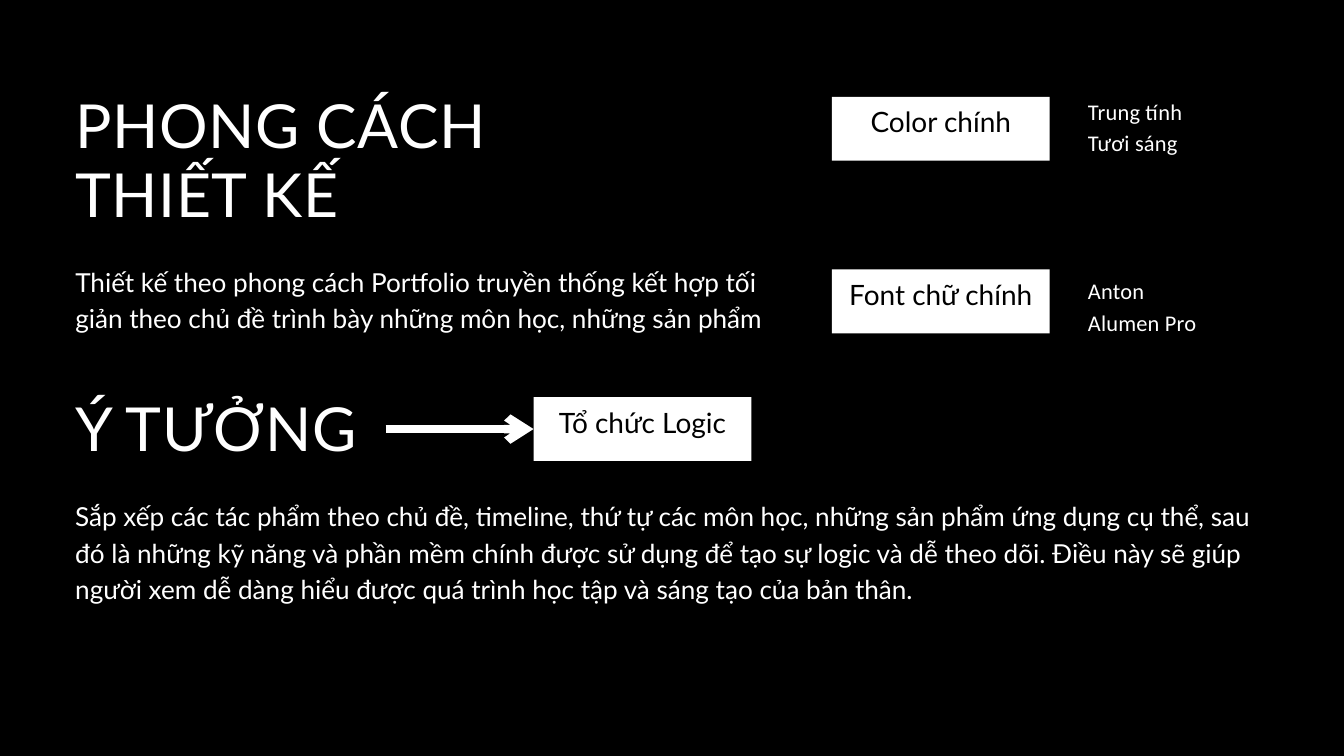
from lxml import etree
from pptx import Presentation
from pptx import util as u
from pptx.dml.color import RGBColor
from pptx.enum import shapes, text
from pptx.oxml.ns import qn

COLORS = {"ground": "000000", "light": "FFFFFF"}
COLUMNS, ROWS = 20, 11.25
CELL = u.Inches(1)  # one grid column or row
MARGIN = 1.12
TAG_LEFT, TAG_W, TAG_H, TAG_RISE = 12.38, 3.24, 0.95, 0.29
NOTE_LEFT, NOTE_W, NOTE_H = 16.19, 2.68, 0.9

HEADING = {"size": 65, "leading": 74.1, "spacing": 0.7}
BODY = {"size": 28, "leading": 39.2}
NOTE = {"size": 24, "leading": 33.6, "font": "Calibri", "spacing": 0.2}
LABEL = {"size": 30, "leading": 42, "color": "ground", "inset": 0.06,
         "align": text.PP_ALIGN.CENTER, "anchor": text.MSO_ANCHOR.MIDDLE}


def grid(*lengths):
    return [int(length * CELL) for length in lengths]


def rgb(name):
    return RGBColor.from_string(COLORS[name])


def write(holder, words, size, leading, font="Lato", color="light", spacing=0,
          inset=0, align=text.PP_ALIGN.LEFT, anchor=text.MSO_ANCHOR.TOP):
    frame = holder.text_frame
    frame.text = words
    frame.word_wrap = True
    frame.auto_size = text.MSO_AUTO_SIZE.NONE
    frame.vertical_anchor = anchor
    frame.margin_left = frame.margin_right = u.Inches(inset)
    frame.margin_top = frame.margin_bottom = u.Inches(inset)
    for paragraph in frame.paragraphs:
        paragraph.alignment = align
        paragraph.line_spacing = u.Pt(leading)
        paragraph.space_before = u.Pt(0)
        for run in paragraph.runs:
            run.font.size = u.Pt(size)
            run.font.name = font
            run.font.color.rgb = rgb(color)
            if spacing:
                run.font._element.set("spc", str(round(spacing * 100)))


def add_words(slide, box, words, style):
    write(slide.shapes.add_textbox(*grid(*box)), words, **style)


def add_title(slide, box, words):
    title = slide.shapes.title
    title.left, title.top, title.width, title.height = grid(*box)
    write(title, words, **HEADING)


def add_tag(slide, left, top, words):
    """White plate whose label sits a little above its middle."""
    plate = slide.shapes.add_shape(shapes.MSO_SHAPE.RECTANGLE,
                                   *grid(left, top, TAG_W, TAG_H))
    plate.shadow.inherit = False
    plate.fill.solid()
    plate.fill.fore_color.rgb = rgb("light")
    plate.line.fill.background()
    add_words(slide, (left, top - TAG_RISE, TAG_W, TAG_H + TAG_RISE), words, LABEL)


def add_arrow(slide, start, end, row):
    arrow = slide.shapes.add_connector(shapes.MSO_CONNECTOR.STRAIGHT,
                                       *grid(start, row, end, row))
    arrow.line.color.rgb = rgb("light")
    arrow.line.width = u.Pt(9)
    etree.SubElement(arrow.line._get_or_add_ln(), qn("a:tailEnd"), type="arrow")
    etree.SubElement(arrow._element.spPr, qn("a:effectLst"))


def add_style_region(slide):
    add_title(slide, (MARGIN, 1.36, 6.81, 2.08), "PHONG CÁCH THIẾT KẾ")
    add_words(slide, (MARGIN, 3.88, 10.29, 1.08),
              "Thiết kế theo phong cách Portfolio truyền thống kết hợp tối giản "
              "theo chủ đề trình bày những môn học, những sản phẩm", BODY)


def add_choices_region(slide):
    choices = [(1.44, "Color chính", 1.39, "Trung tính\nTươi sáng"),
               (4.01, "Font chữ chính", 4.06, "Anton\nAlumen Pro")]
    for tag_top, label, note_top, note in choices:
        add_tag(slide, TAG_LEFT, tag_top, label)
        add_words(slide, (NOTE_LEFT, note_top, NOTE_W, NOTE_H), note, NOTE)


def add_idea_region(slide, top):
    tag_left, tag_top = 7.94, top + 0.04
    add_words(slide, (MARGIN, top, 6.81, 1.05), "Ý TƯỞNG", HEADING)
    add_tag(slide, tag_left, tag_top, "Tổ chức Logic")
    add_arrow(slide, 5.74, tag_left, tag_top + TAG_H / 2)
    add_words(slide, (MARGIN, top + 1.5, COLUMNS - 2 * MARGIN, 1.62),
              "Sắp xếp các tác phẩm theo chủ đề, timeline, thứ tự các môn học, "
              "những sản phẩm ứng dụng cụ thể, sau đó là những kỹ năng và phần mềm "
              "chính được sử dụng để tạo sự logic và dễ theo dõi. Điều này sẽ giúp "
              "người xem dễ dàng hiểu được quá trình học tập và sáng tạo của bản thân.",
              BODY)


def main():
    deck = Presentation()
    deck.slide_width, deck.slide_height = grid(COLUMNS, ROWS)
    slide = deck.slides.add_slide(deck.slide_layouts[5])
    slide.background.fill.solid()
    slide.background.fill.fore_color.rgb = rgb("ground")
    add_style_region(slide)
    add_choices_region(slide)
    add_idea_region(slide, 5.87)
    deck.save("out.pptx")


if __name__ == "__main__":
    main()
